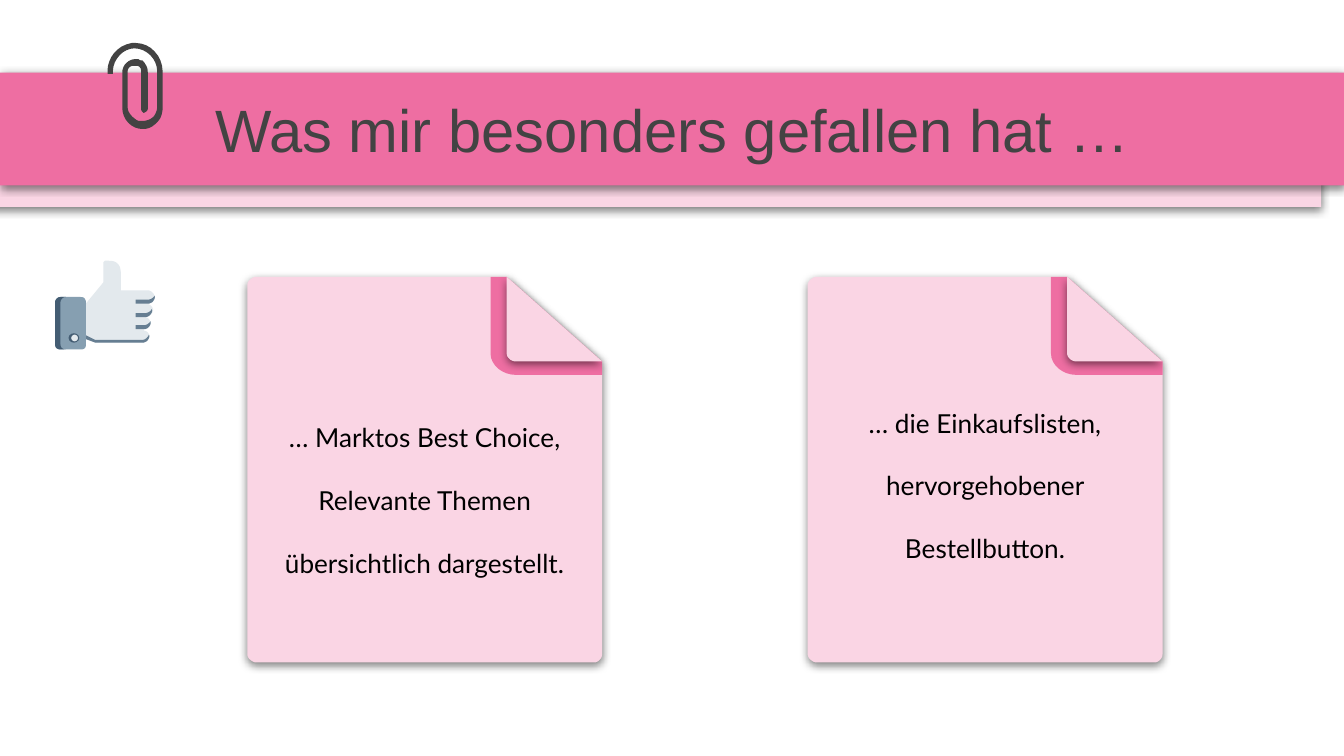
from lxml.etree import SubElement
from pptx import Presentation
from pptx.dml.color import RGBColor
from pptx.enum.shapes import MSO_SHAPE as Preset
from pptx.enum.text import MSO_ANCHOR as Anchor, MSO_AUTO_SIZE as AutoSize, PP_ALIGN as Align
from pptx.oxml.ns import qn
from pptx.util import Emu, Inches, Pt

# The slide is a grid of 1000 columns; rows are as tall as columns are wide.
COLUMNS, ROWS = 1000, 562.5
UNIT = Inches(10) / COLUMNS
FINE = 10
CURVE_STEPS = 8

PINK = RGBColor(0xEE, 0x6E, 0xA2)
PALE_PINK = RGBColor(0xFA, 0xD5, 0xE4)
CHARCOAL = RGBColor(0x43, 0x43, 0x43)
BLACK = RGBColor(0, 0, 0)
SKIN = RGBColor(0xE3, 0xE9, 0xED)
SKIN_SHADE = RGBColor(0x66, 0x7E, 0x92)
CUFF = RGBColor(0x86, 0x9F, 0xB1)
CUFF_SHADE = RGBColor(0x44, 0x5D, 0x73)

# In an outline, a pair is a corner and six numbers are a Bezier curve.
CARD_TOP = 206
CARD_BODY = [(7, 0), (4, 0, 0, 3, 0, 6), (0, 281), (0, 284, 4, 287, 7, 287),
             (258, 287), (261, 287, 264, 284, 264, 281), (264, 63), (193, 0)]
CARD_FOLD = [(181, 0), (181, 57), (181, 66, 190, 73, 200, 73),
             (264, 73), (264, 63), (193, 0)]
CARD_FLAP = [(193, 0), (193, 57), (193, 60, 196, 63, 200, 63), (264, 63)]

PAPERCLIP = [
    (101, 32), (100, 32, 99, 32, 98, 32), (87, 34, 80, 43, 80, 53), (80, 55),
    (84, 55), (84, 53), (84, 44, 92, 36, 100, 36), (109, 36, 117, 44, 117, 53),
    (117, 79), (117, 82, 116, 85, 114, 87), (112, 89, 109, 90, 106, 90),
    (105, 90, 104, 90, 103, 90), (99, 88, 95, 84, 95, 80), (95, 53),
    (95, 51, 97, 49, 99, 49), (100, 49), (102, 49, 103, 49, 104, 50),
    (105, 51, 105, 52, 105, 53), (105, 81), (105, 83, 107, 84, 107, 84),
    (107, 84, 110, 83, 110, 81), (110, 54), (110, 50, 108, 47, 106, 45),
    (105, 45, 104, 45, 103, 44), (102, 44, 101, 44, 101, 44),
    (96, 44, 91, 48, 91, 54), (91, 80), (91, 89, 98, 96, 106, 96),
    (107, 96), (111, 96, 114, 94, 117, 91), (120, 88, 121, 84, 121, 80),
    (121, 53), (121, 42, 112, 32, 101, 32)]

HAND = [
    (81, 194), (80, 194, 79, 194, 78, 194), (77, 195), (77, 210), (63, 227),
    (63, 252), (71, 255), (106, 255), (109, 255, 111, 253, 111, 250),
    (111, 248, 109, 246, 107, 246), (107, 245), (110, 245, 112, 243, 112, 241),
    (112, 238, 110, 236, 108, 236), (111, 236, 113, 234, 114, 231),
    (114, 228, 111, 226, 109, 226), (113, 226, 115, 224, 115, 221),
    (115, 218, 112, 216, 110, 216), (90, 216), (90, 204),
    (90, 195, 85, 194, 81, 194)]
PALM_SHADE = [(63, 249), (63, 252), (71, 255), (106, 255),
              (109, 255, 112, 252, 111, 249), (110, 251, 108, 253, 106, 253),
              (71, 253)]
FINGER_SHADE = [(0, 0), (-1, 2, -3, 3, -5, 3)]
CUFF_FRONT = [(60, 221), (45, 221), (43, 221, 41, 223, 41, 225), (41, 256),
              (41, 259, 43, 260, 45, 260), (60, 260), (63, 260, 64, 259, 64, 256),
              (64, 225), (64, 223, 63, 221, 60, 221)]
CUFF_EDGE = [(45, 221), (43, 221, 41, 223, 41, 225), (41, 256),
             (41, 259, 43, 260, 45, 260), (49, 260), (47, 260, 45, 259, 45, 256),
             (45, 225), (45, 223, 47, 221, 49, 221)]


def units(*lengths):
    """Turn grid units into slide lengths."""
    return [Emu(round(length * UNIT)) for length in lengths]


def paint(shape, colour, shadow=False):
    """Fill a shape without an outline, with a soft shadow if wanted."""
    shape.fill.solid()
    shape.fill.fore_color.rgb = colour
    shape.line.fill.background()
    shape.shadow.inherit = False
    if shadow:
        effects = shape.element.spPr.find(qn("a:effectLst"))
        outer = SubElement(effects, qn("a:outerShdw"), blurRad=str(Pt(4.5)),
                           dist=str(Pt(1.5)), dir="5400000", algn="bl", rotWithShape="0")
        black = SubElement(outer, qn("a:srgbClr"), val="000000")
        SubElement(black, qn("a:alpha"), val="50000")
    return shape


def flatten(outline):
    """List the points along an outline of corners and curves."""
    points = []
    for part in outline:
        if len(part) == 2:
            points.append(part)
            continue
        knots = [points[-1], part[:2], part[2:4], part[4:]]
        for step in range(1, CURVE_STEPS + 1):
            t = step / CURVE_STEPS
            weights = ((1 - t) ** 3, 3 * t * (1 - t) ** 2, 3 * t * t * (1 - t), t ** 3)
            points.append(tuple(sum(w * knot[axis] for w, knot in zip(weights, knots))
                                for axis in (0, 1)))
    return points


def add_outline(shapes, outline, colour, left=0, top=0, shadow=False):
    """Draw a closed outline, moved by left and top."""
    points = [((x + left) * FINE, (y + top) * FINE) for x, y in flatten(outline)]
    builder = shapes.build_freeform(*points[0], scale=UNIT / FINE)
    builder.add_line_segments(points[1:], close=True)
    return paint(builder.convert_to_shape(), colour, shadow)


def add_preset(shapes, preset, place, colour, shadow=False):
    """Add a preset shape at left, top, width, height."""
    return paint(shapes.add_shape(preset, *units(*place)), colour, shadow)


def write(shape, paragraphs, font, size, colour, align, spacing=1, insets=(10, 10, 10, 10)):
    """Write paragraphs of one format, centred vertically in a shape."""
    frame = shape.text_frame
    frame.word_wrap, frame.auto_size = True, AutoSize.NONE
    frame.vertical_anchor = Anchor.MIDDLE
    (frame.margin_left, frame.margin_top,
     frame.margin_right, frame.margin_bottom) = units(*insets)
    for index, text in enumerate(paragraphs):
        para = frame.add_paragraph() if index else frame.paragraphs[0]
        para.alignment, para.line_spacing = align, spacing
        span = para.add_run()
        span.text = text
        span.font.name, span.font.size = font, Pt(size)
        span.font.color.rgb = colour


def add_header(page, text):
    """Place the title band over a paler band, held by a paperclip."""
    title = page.shapes.title
    title.left, title.top, title.width, title.height = units(0, 54, COLUMNS, 84)
    paint(title, PINK, shadow=True)
    write(title, [text], "Arial", 32, CHARCOAL, Align.LEFT, insets=(160, 10, 10, 10))
    band = add_preset(page.shapes, Preset.RECTANGLE, (-17, 70, COLUMNS, 84),
                      PALE_PINK, shadow=True)
    title.element.addprevious(band.element)
    add_outline(page.shapes, PAPERCLIP, CHARCOAL)


def add_card(page, left, paragraphs, inset_top=10):
    """Add a note card with a folded corner."""
    shapes = page.shapes.add_group_shape().shapes
    body = add_outline(shapes, CARD_BODY, PALE_PINK, left, CARD_TOP, shadow=True)
    write(body, paragraphs, "Lato", 14, BLACK, Align.CENTER, spacing=2,
          insets=(10, inset_top, 10, 10))
    add_outline(shapes, CARD_FOLD, PINK, left, CARD_TOP)
    add_outline(shapes, CARD_FLAP, PALE_PINK, left, CARD_TOP, shadow=True)


def add_thumb(page):
    """Draw the raised thumb with its cuff and button."""
    shapes = page.shapes.add_group_shape().shapes
    add_outline(shapes, HAND, SKIN)
    add_outline(shapes, PALM_SHADE, SKIN_SHADE)
    for right, top in ((112, 239), (113, 230), (115, 220)):
        knuckle = 101 - right
        strip = FINGER_SHADE + [(knuckle, 3), (knuckle, 6), (-5, 6), (-2, 6, 1, 3, 0, 0)]
        add_outline(shapes, strip, SKIN_SHADE, right, top)
    add_outline(shapes, CUFF_FRONT, CUFF)
    add_outline(shapes, CUFF_EDGE, CUFF_SHADE)
    add_preset(shapes, Preset.OVAL, (51, 248, 8, 7), CUFF_SHADE)
    add_preset(shapes, Preset.OVAL, (53, 249, 5, 5), SKIN)


def main():
    """Build and save the slide."""
    deck = Presentation()
    deck.slide_width, deck.slide_height = units(COLUMNS, ROWS)
    page = deck.slides.add_slide(deck.slide_layouts[5])
    add_header(page, "Was mir besonders gefallen hat …")
    add_card(page, 184, ["… Marktos Best Choice,",
                         "Relevante Themen übersichtlich dargestellt."], inset_top=32)
    add_card(page, 601, ["… die Einkaufslisten,", "hervorgehobener Bestellbutton."])
    add_thumb(page)
    deck.save("out.pptx")


main()
